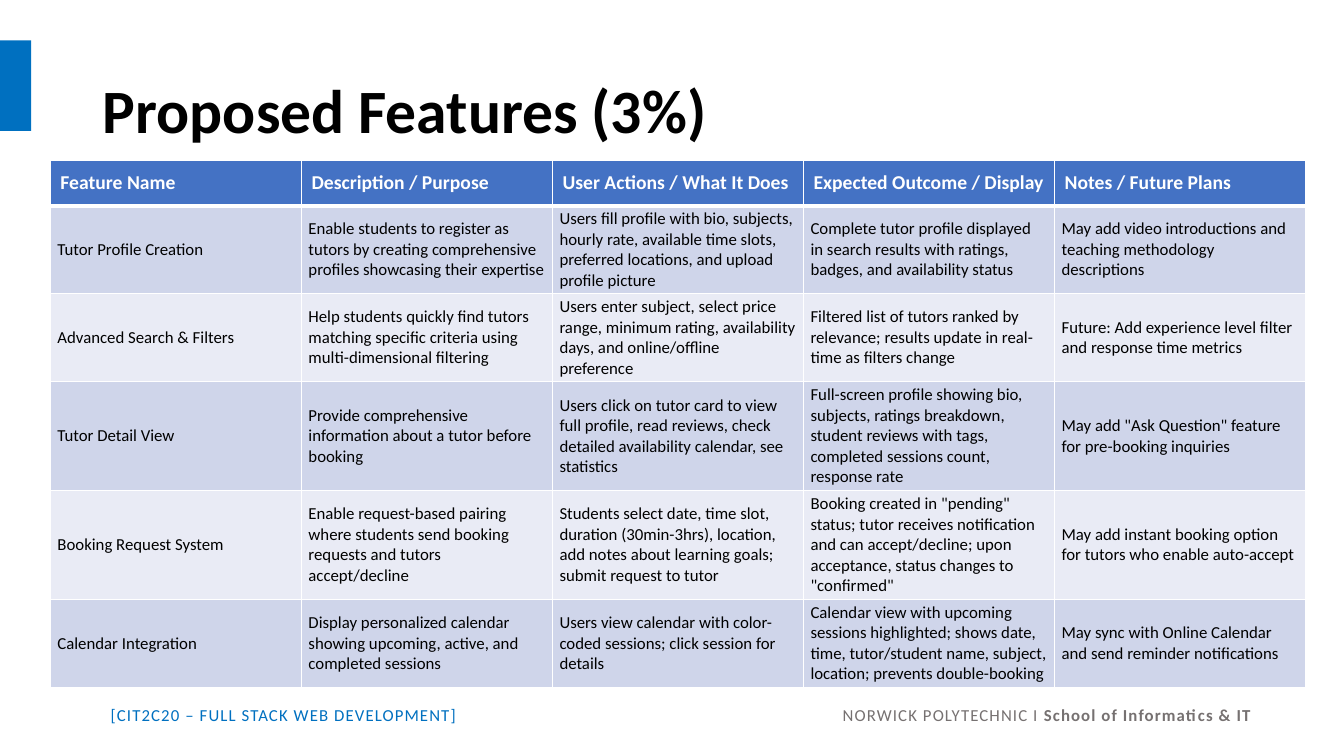
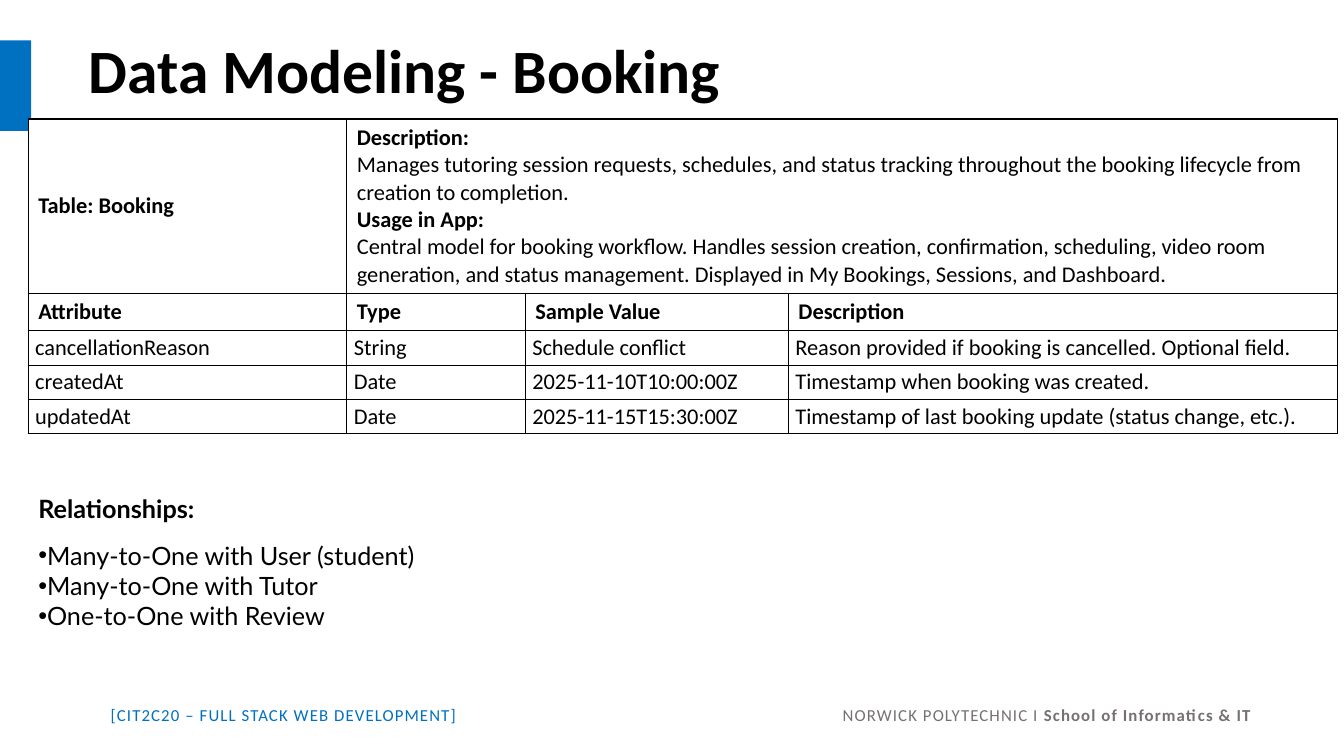
from lxml import etree
from pptx import Presentation
from pptx.dml.color import RGBColor
from pptx.enum.shapes import MSO_SHAPE
from pptx.enum.text import MSO_ANCHOR, MSO_AUTO_SIZE, PP_ALIGN
from pptx.oxml.ns import qn
from pptx.util import Inches, Pt

RECTANGLE = MSO_SHAPE.RECTANGLE
MIDDLE, TOP = MSO_ANCHOR.MIDDLE, MSO_ANCHOR.TOP
LEFT = PP_ALIGN.LEFT
NO_FIT = MSO_AUTO_SIZE.NONE

BLACK = RGBColor(0x00, 0x00, 0x00)
WHITE = RGBColor(0xFF, 0xFF, 0xFF)
ACCENT = RGBColor(0x00, 0x70, 0xC0)
GREY = RGBColor(0x76, 0x71, 0x71)
HEADER_BLUE = RGBColor(0x44, 0x72, 0xC4)
BANDS = (RGBColor(0xCF, 0xD5, 0xEA), RGBColor(0xE9, 0xEB, 0xF5))

HEADER_INSETS = (0.1, 0.05)
BODY_INSETS = (0.07, 0.03)
TITLE_ONLY, TITLE_AND_CONTENT = 5, 1

FEATURES = [
    ("Feature Name", "Description / Purpose", "User Actions / What It Does",
     "Expected Outcome / Display", "Notes / Future Plans"),
    ("Tutor Profile Creation",
     "Enable students to register as tutors by creating comprehensive profiles "
     "showcasing their expertise",
     "Users fill profile with bio, subjects, hourly rate, available time slots, "
     "preferred locations, and upload profile picture",
     "Complete tutor profile displayed in search results with ratings, badges, "
     "and availability status",
     "May add video introductions and teaching methodology descriptions"),
    ("Advanced Search & Filters",
     "Help students quickly find tutors matching specific criteria using "
     "multi-dimensional filtering",
     "Users enter subject, select price range, minimum rating, availability days, "
     "and online/offline preference",
     "Filtered list of tutors ranked by relevance; results update in real-time "
     "as filters change",
     "Future: Add experience level filter and response time metrics"),
    ("Tutor Detail View",
     "Provide comprehensive information about a tutor before booking",
     "Users click on tutor card to view full profile, read reviews, check detailed "
     "availability calendar, see statistics",
     "Full-screen profile showing bio, subjects, ratings breakdown, student reviews "
     "with tags, completed sessions count, response rate",
     'May add "Ask Question" feature for pre-booking inquiries'),
    ("Booking Request System",
     "Enable request-based pairing where students send booking requests and tutors "
     "accept/decline",
     "Students select date, time slot, duration (30min-3hrs), location, add notes "
     "about learning goals; submit request to tutor",
     'Booking created in "pending" status; tutor receives notification and can '
     'accept/decline; upon acceptance, status changes to "confirmed"',
     "May add instant booking option for tutors who enable auto-accept"),
    ("Calendar Integration",
     "Display personalized calendar showing upcoming, active, and completed sessions",
     "Users view calendar with color-coded sessions; click session for details",
     "Calendar view with upcoming sessions highlighted; shows date, time, "
     "tutor/student name, subject, location; prevents double-booking",
     "May sync with Online Calendar and send reminder notifications"),
]
FEATURE_ROW_HEIGHTS = (0.45, 0.87, 0.87, 1.08, 1.08, 0.87)

BOOKING_SUMMARY = [
    ("Description:", True),
    ("Manages tutoring session requests, schedules, and status tracking throughout "
     "the booking lifecycle from creation to completion.", False),
    ("Usage in App:", True),
    ("Central model for booking workflow. Handles session creation, confirmation, "
     "scheduling, video room generation, and status management. Displayed in My "
     "Bookings, Sessions, and Dashboard.", False),
]
BOOKING_FIELDS = [
    ("Attribute", "Type", "Sample Value", "Description"),
    ("cancellationReason", "String", "Schedule conflict",
     "Reason provided if booking is cancelled. Optional field."),
    ("createdAt", "Date", "2025-11-10T10:00:00Z",
     "Timestamp when booking was created."),
    ("updatedAt", "Date", "2025-11-15T15:30:00Z",
     "Timestamp of last booking update (status change, etc.)."),
]
RELATIONSHIPS = [
    ("Relationships:", True),
    ("Many-to-One with User (student)", False),
    ("Many-to-One with Tutor", False),
    ("One-to-One with Review", False),
]


def place(shape, left, top, width, height):
    shape.left, shape.top = Inches(left), Inches(top)
    shape.width, shape.height = Inches(width), Inches(height)


def add_text(paragraph, text, *, size, color=BLACK, bold=False, font="Calibri",
             tracking=None):
    run = paragraph.add_run()
    run.text = text
    run.font.size = Pt(size)
    run.font.color.rgb = color
    run.font.bold = bold
    run.font.name = font
    if tracking:
        run.font._element.set("spc", str(round(tracking * 100)))


def add_paragraphs(frame, lines, **text_format):
    """Write (text, bold) pairs, one paragraph each."""
    for index, (text, bold) in enumerate(lines):
        paragraph = frame.paragraphs[0] if index == 0 else frame.add_paragraph()
        add_text(paragraph, text, bold=bold, **text_format)


def set_bullet(paragraph, symbol=None):
    properties = paragraph._p.get_or_add_pPr()
    properties.set("marL", "0")
    properties.set("indent", "0")
    if symbol:
        etree.SubElement(properties, qn("a:buChar")).set("char", symbol)
    else:
        etree.SubElement(properties, qn("a:buNone"))


def add_right_tab(paragraph, position):
    tabs = etree.SubElement(paragraph._p.get_or_add_pPr(), qn("a:tabLst"))
    tab = etree.SubElement(tabs, qn("a:tab"))
    tab.set("pos", str(Inches(position)))
    tab.set("algn", "r")


def furnish_master(master, slide):
    """Build the side band and footer, then move them to the master."""
    footer = slide.shapes.add_textbox(
        Inches(1), Inches(6.94), Inches(11.63), Inches(0.3))
    footer.text_frame.word_wrap = True
    line = footer.text_frame.paragraphs[0]
    add_right_tab(line, 11.31)
    for text, color, bold in (
            ("[CIT2C20 – FULL STACK WEB DEVELOPMENT]\t", ACCENT, False),
            ("NORWICK POLYTECHNIC I ", GREY, False),
            ("School of Informatics & IT", GREY, True)):
        add_text(line, text, size=12, color=color, bold=bold, tracking=0.8)

    band = slide.shapes.add_shape(
        RECTANGLE, 0, Inches(0.4), Inches(0.31), Inches(0.9))
    band.shadow.inherit = False
    band.fill.solid()
    band.fill.fore_color.rgb = ACCENT
    band.line.fill.background()

    for shape_id, shape in enumerate((footer, band), start=20):
        shape.element.nvSpPr.cNvPr.set("id", str(shape_id))
        master.shapes.element.append(shape.element)


def set_title(slide, text, left, top):
    title = slide.shapes.title
    place(title, left, top, 11.5, 1.45)
    title.text_frame.vertical_anchor = MIDDLE
    title.text_frame.auto_size = NO_FIT
    paragraph = title.text_frame.paragraphs[0]
    paragraph.alignment = LEFT
    paragraph.line_spacing = 0.9
    add_text(paragraph, text, size=44, bold=True)


def add_grid(slide, left, top, widths, heights):
    table = slide.shapes.add_table(
        len(heights), len(widths), Inches(left), Inches(top),
        Inches(sum(widths)), Inches(sum(heights))).table
    for column, width in zip(table.columns, widths):
        column.width = Inches(width)
    for row, height in zip(table.rows, heights):
        row.height = Inches(height)
    return table


def style_cell(cell, fill, border, insets, top=1, bottom=1):
    """Set borders (widths in points), fill, insets and anchor."""
    properties = cell._tc.get_or_add_tcPr()
    for side, width in (("L", 1), ("R", 1), ("T", top), ("B", bottom)):
        edge = etree.SubElement(properties, qn(f"a:ln{side}"))
        edge.set("w", str(Pt(width)))
        paint = etree.SubElement(edge, qn("a:solidFill"))
        etree.SubElement(paint, qn("a:srgbClr")).set("val", str(border))
    cell.fill.solid()
    cell.fill.fore_color.rgb = fill
    cell.vertical_anchor = MIDDLE
    cell.margin_left = cell.margin_right = Inches(insets[0])
    cell.margin_top = cell.margin_bottom = Inches(insets[1])


def add_features_table(slide):
    table = add_grid(slide, 0.5, 1.59, [2.49] * 5, FEATURE_ROW_HEIGHTS)
    for r, row in enumerate(FEATURES):
        header = r == 0
        for c, text in enumerate(row):
            cell = table.cell(r, c)
            style_cell(cell, HEADER_BLUE if header else BANDS[(r - 1) % 2], WHITE,
                       HEADER_INSETS if header else BODY_INSETS,
                       top=3 if r == 1 else 1, bottom=3 if header else 1)
            add_paragraphs(cell.text_frame, [(text, header)],
                           size=14 if header else 12,
                           color=WHITE if header else BLACK)


def add_booking_table(slide):
    table = add_grid(slide, 0.28, 1.18, (3.16, 1.77, 2.61, 5.45),
                     (1.72, 0.37, 0.34, 0.34, 0.34))
    table.horz_banding = False
    table.cell(0, 1).merge(table.cell(0, 3))
    for r, row in enumerate(table.rows):
        for cell in row.cells:
            style_cell(cell, WHITE, BLACK, HEADER_INSETS if r < 2 else BODY_INSETS)
    add_paragraphs(table.cell(0, 0).text_frame, [("Table: Booking", True)], size=16)
    add_paragraphs(table.cell(0, 1).text_frame, BOOKING_SUMMARY, size=16)
    for r, row in enumerate(BOOKING_FIELDS, start=1):
        for c, text in enumerate(row):
            add_paragraphs(table.cell(r, c).text_frame, [(text, r == 1)], size=16)


def set_relationships(slide):
    body = slide.placeholders[1]
    place(body, 0.28, 4.84, 6.67, 1.48)
    frame = body.text_frame
    frame.auto_size = NO_FIT
    frame.vertical_anchor = TOP
    add_paragraphs(frame, RELATIONSHIPS, size=18, font="Lato")
    for index, paragraph in enumerate(frame.paragraphs):
        paragraph.space_before = Pt(0)
        paragraph.space_after = Pt(0 if index else 12)
        set_bullet(paragraph, "•" if index else None)


def main():
    deck = Presentation()
    deck.slide_width, deck.slide_height = Inches(13.33), Inches(7.5)

    features = deck.slides.add_slide(deck.slide_layouts[TITLE_ONLY])
    furnish_master(deck.slide_master, features)
    set_title(features, "Proposed Features (3%)", 0.92, 0.4)
    add_features_table(features)

    booking = deck.slides.add_slide(deck.slide_layouts[TITLE_AND_CONTENT])
    set_title(booking, "Data Modeling - Booking", 0.78, 0)
    add_booking_table(booking)
    set_relationships(booking)

    deck.save("out.pptx")


if __name__ == "__main__":
    main()
